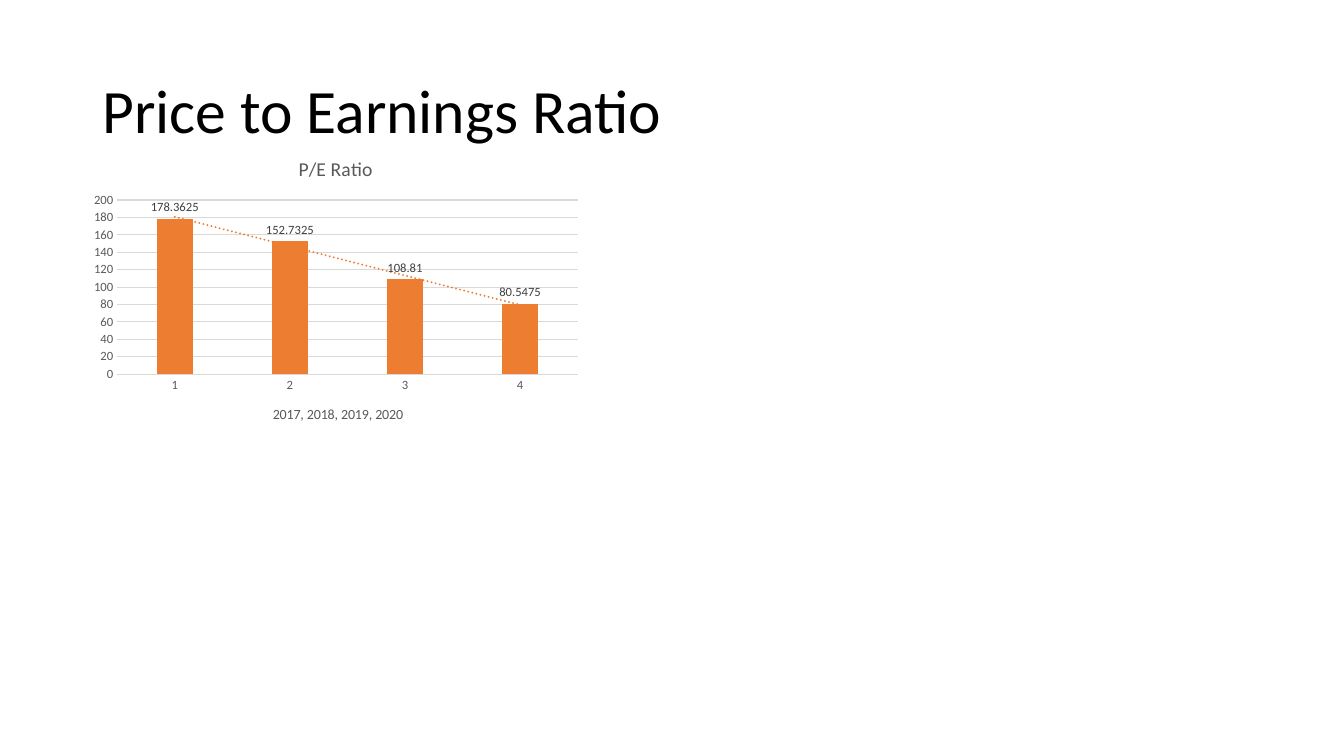
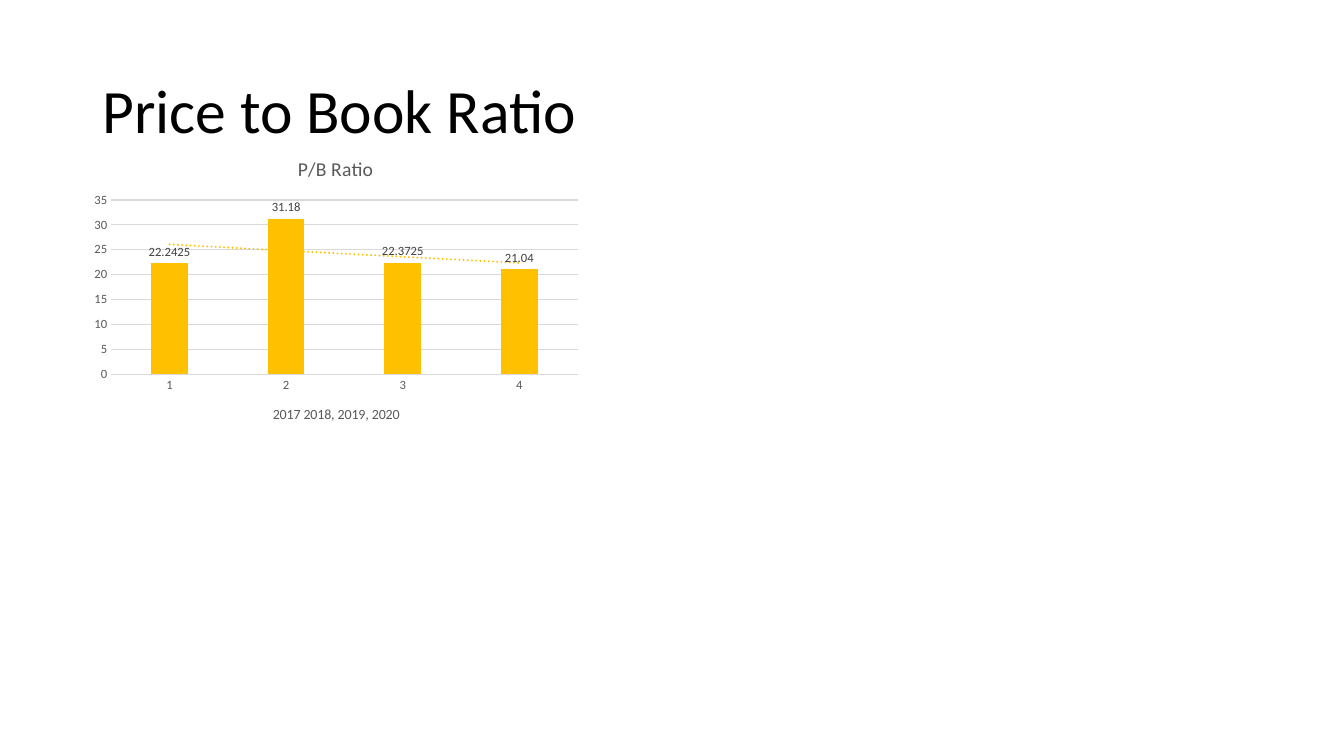
from lxml import etree
from pptx import Presentation
from pptx.chart.data import CategoryChartData
from pptx.dml.color import RGBColor
from pptx.enum.chart import XL_CHART_TYPE, XL_LABEL_POSITION, XL_TICK_MARK
from pptx.enum.text import MSO_ANCHOR
from pptx.oxml import parse_xml
from pptx.oxml.ns import nsdecls, qn
from pptx.util import Pt

FONT = "Calibri"
COLORS = {
    "title": "000000",
    "chart_text": "595959",
    "label": "404040",
    "grid": "D9D9D9",
    "earnings": "ED7D31",
    "book": "FFC000",
}
RATIOS = [
    {
        "title": "Price to Earnings Ratio",
        "name": "P/E Ratio",
        "years": "2017, 2018, 2019, 2020",
        "values": (178.3625, 152.7325, 108.81, 80.5475),
        "color": "earnings",
        "scale": (200, 20),
        "plot_left": 0.066,
    },
    {
        "title": "Price to Book Ratio",
        "name": "P/B Ratio",
        "years": "2017 2018, 2019, 2020",
        "values": (22.2425, 31.18, 22.3725, 21.04),
        "color": "book",
        "scale": (35, 5),
        "plot_left": 0.054,
    },
]


def rgb(name):
    return RGBColor.from_string(COLORS[name])


def style_font(font, size, color):
    font.name = FONT
    font.size = Pt(size)
    font.bold = False
    font.color.rgb = rgb(color)


def style_line(line, color):
    line.color.rgb = rgb(color)
    line.width = Pt(0.75)


def add_title(slide, text):
    frame = slide.shapes.add_textbox(Pt(66), Pt(28.8), Pt(828), Pt(104.4)).text_frame
    frame.word_wrap = True
    frame.vertical_anchor = MSO_ANCHOR.MIDDLE
    paragraph = frame.paragraphs[0]
    paragraph.line_spacing = 0.9
    run = paragraph.add_run()
    run.text = text
    style_font(run.font, 44, "title")


def set_chart_text(frame, text, size):
    frame.text = text
    style_font(frame.paragraphs[0].runs[0].font, size, "chart_text")


def set_layout(parent, position, target="", **fractions):
    for old in parent.findall(qn("c:layout")):
        parent.remove(old)
    layout = parse_xml(f"<c:layout {nsdecls('c')}><c:manualLayout/></c:layout>")
    settings = {"layoutTarget": target} if target else {}
    settings.update(xMode="edge", yMode="edge", **fractions)
    for tag, value in settings.items():
        etree.SubElement(layout[0], qn(f"c:{tag}")).set("val", str(value))
    parent.insert(position, layout)


def add_trendline(series, color):
    trendline = parse_xml(
        f"<c:trendline {nsdecls('c', 'a')}>"
        f'<c:spPr><a:ln w="{Pt(1.5)}" cap="rnd"><a:solidFill>'
        f'<a:srgbClr val="{COLORS[color]}"/></a:solidFill>'
        '<a:prstDash val="sysDot"/></a:ln></c:spPr>'
        '<c:trendlineType val="linear"/><c:dispRSqr val="0"/><c:dispEq val="0"/>'
        "</c:trendline>"
    )
    series._element.find(qn("c:cat")).addprevious(trendline)


def style_axes(chart, ratio):
    for axis in (chart.category_axis, chart.value_axis):
        axis.major_tick_mark = XL_TICK_MARK.NONE
        axis.minor_tick_mark = XL_TICK_MARK.NONE
        style_font(axis.tick_labels.font, 9, "chart_text")
    categories, values = chart.category_axis, chart.value_axis
    style_line(categories.format.line, "grid")
    set_chart_text(categories.axis_title.text_frame, ratio["years"], 10)
    set_layout(categories.axis_title._element, 1, x=0.37, y=0.875)
    values.format.line.fill.background()
    style_line(values.major_gridlines.format.line, "grid")
    values.minimum_scale = 0
    values.maximum_scale, values.major_unit = ratio["scale"]


def style_series(plot, color):
    plot.gap_width = 219
    plot.overlap = -27
    plot.vary_by_categories = False
    series = plot.series[0]
    series.format.fill.solid()
    series.format.fill.fore_color.rgb = rgb(color)
    labels = series.data_labels
    labels.show_value = True
    labels.position = XL_LABEL_POSITION.OUTSIDE_END
    style_font(labels.font, 9, "label")
    add_trendline(series, color)


def add_ratio_chart(slide, ratio):
    data = CategoryChartData()
    data.categories = ["1", "2", "3", "4"]
    data.add_series(ratio["name"], ratio["values"])
    chart = slide.shapes.add_chart(
        XL_CHART_TYPE.COLUMN_CLUSTERED, Pt(60), Pt(100), Pt(359.5), Pt(214.5), data
    ).chart
    style_font(chart.font, 10, "title")
    chart.has_legend = False
    chart.has_title = True
    set_chart_text(chart.chart_title.text_frame, ratio["name"], 14)
    style_axes(chart, ratio)
    style_series(chart.plots[0], ratio["color"])
    left = ratio["plot_left"]
    plot_area = chart._chartSpace.chart.plotArea
    set_layout(plot_area, 0, "inner", x=left, y=0.2, w=round(0.981 - left, 3), h=0.58)


def main():
    deck = Presentation()
    deck.slide_width, deck.slide_height = Pt(960), Pt(540)
    for ratio in RATIOS:
        slide = deck.slides.add_slide(deck.slide_layouts[6])
        add_title(slide, ratio["title"])
        add_ratio_chart(slide, ratio)
    deck.save("out.pptx")


main()
